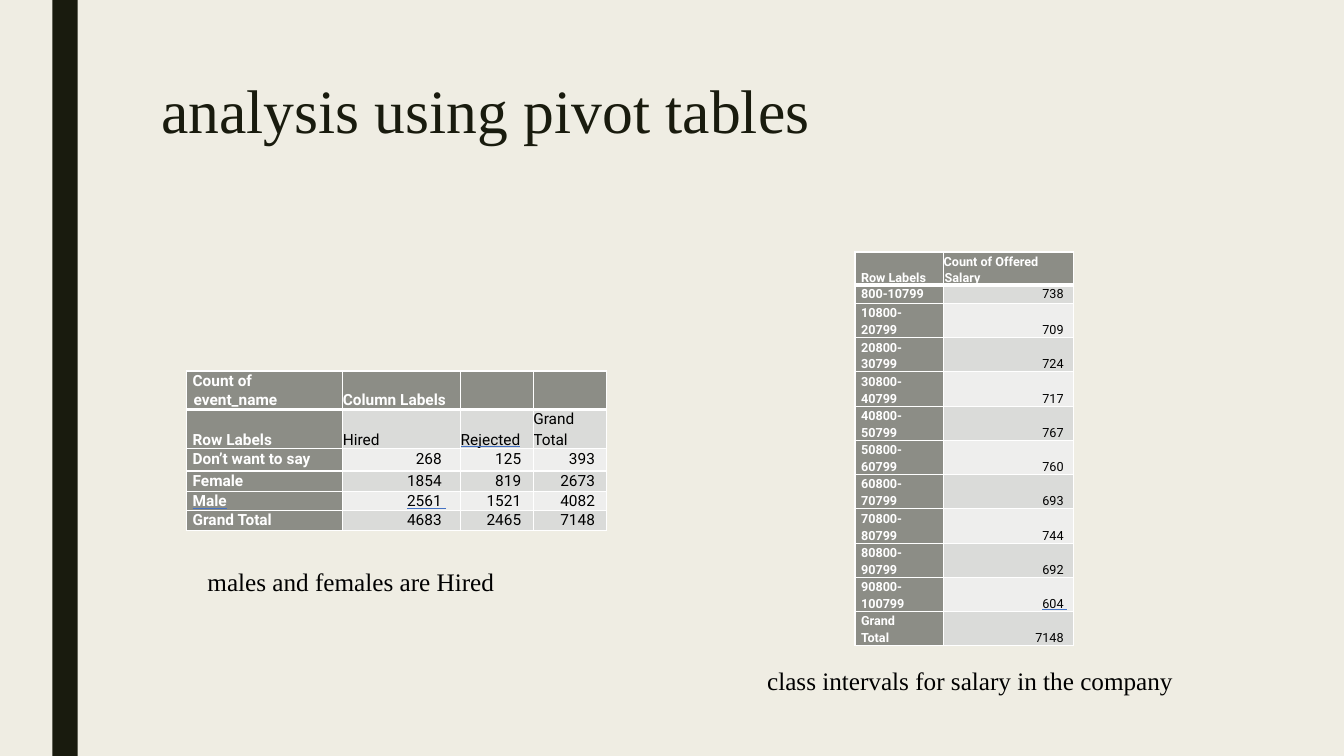
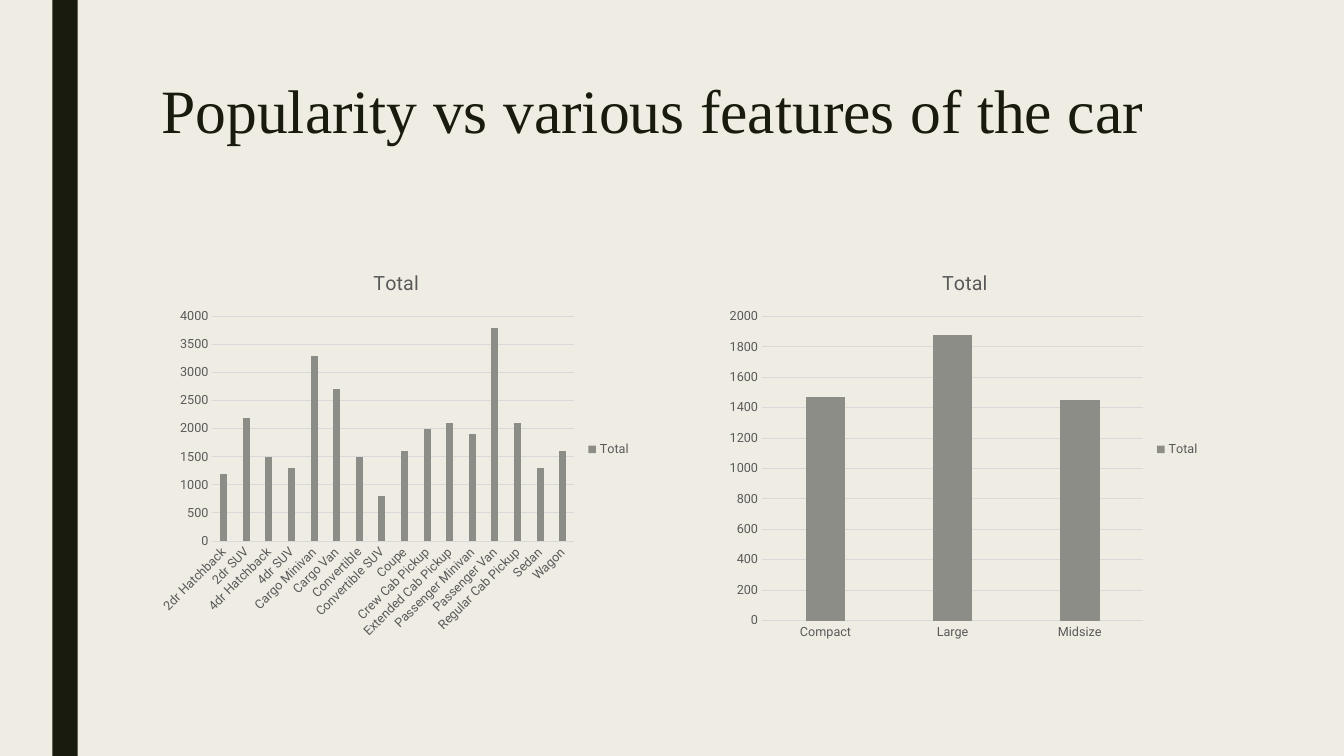
from dataclasses import dataclass

from lxml import etree
from pptx import Presentation
from pptx import util as u
from pptx.chart.data import CategoryChartData
from pptx.dml.color import RGBColor
from pptx.enum import chart as ch
from pptx.enum import shapes, text
from pptx.oxml.ns import qn

EMU_PER_PX = 9144  # 100 px to the inch
COLOURS = {
    "paper": "EFEDE3",
    "ink": "191B0E",
    "black": "000000",
    "white": "FFFFFF",
    "grey": "8C8D86",
    "band_dark": "DADBD9",
    "band_light": "EEEEED",
    "chart_text": "595959",
    "chart_line": "D9D9D9",
    "underline": "4472C4",
}
SERIF, SANS = "Times New Roman", "Roboto"
TITLE_BOX = (150, 75, 1050, 162)
BAND_BOX = (52, 0, 25, 750)


@dataclass
class PivotTable:
    left: int
    top: int
    widths: list[int]
    heights: list[int]
    rows: list[list[str]]
    size: int
    right_inset: int
    number_insets: list[int]  # right inset of the figures, by column
    first_number_row: int
    underlined: set[tuple[int, int]]  # (row, column)


@dataclass
class Caption:
    box: tuple[int, int, int, int]
    words: str


@dataclass
class TotalChart:
    box: tuple[int, int, int, int]
    totals: dict[str, int]
    top_value: int
    step: int


def px(length: int) -> u.Emu:
    return u.Emu(length * EMU_PER_PX)


def rgb(name: str) -> RGBColor:
    return RGBColor.from_string(COLOURS[name])


def apply(target, **values) -> None:
    for attribute, value in values.items():
        setattr(target, attribute, value)


def style_font(font, size: float, colour: str, name: str = SANS, **extra) -> None:
    apply(font, size=u.Pt(size), name=name, **extra)
    font.color.rgb = rgb(colour)


def paint(fill, colour: str) -> None:
    fill.solid()
    fill.fore_color.rgb = rgb(colour)


def new_slide(deck, heading: str):
    slide = deck.slides.add_slide(deck.slide_layouts.get_by_name("Title Only"))
    title = slide.shapes.title
    left, top, width, height = map(px, TITLE_BOX)
    apply(title, left=left, top=top, width=width, height=height)
    apply(title.text_frame, text=heading, word_wrap=True,
          auto_size=text.MSO_AUTO_SIZE.NONE,
          vertical_anchor=text.MSO_ANCHOR.TOP)
    line = title.text_frame.paragraphs[0]
    apply(line, alignment=text.PP_ALIGN.LEFT, line_spacing=0.89)
    style_font(line.runs[0].font, 44, "ink", SERIF)

    # Dark side band
    band = slide.shapes.add_shape(shapes.MSO_SHAPE.RECTANGLE, *map(px, BAND_BOX))
    band.shadow.inherit = False
    paint(band.fill, "ink")
    band.line.fill.background()
    return slide


def add_caption(slide, caption: Caption) -> None:
    frame = slide.shapes.add_textbox(*map(px, caption.box)).text_frame
    apply(frame, text=caption.words, word_wrap=True,
          auto_size=text.MSO_AUTO_SIZE.SHAPE_TO_FIT_TEXT)
    style_font(frame.paragraphs[0].runs[0].font, 18, "black", SERIF)


def set_borders(cell, top: int, bottom: int) -> None:
    properties = cell._tc.get_or_add_tcPr()
    edges = {"lnL": 1, "lnR": 1, "lnT": top, "lnB": bottom}
    for position, (edge, points) in enumerate(edges.items()):
        line = etree.Element(qn(f"a:{edge}"), w=str(u.Pt(points)))
        fill = etree.SubElement(line, qn("a:solidFill"))
        etree.SubElement(fill, qn("a:srgbClr"), val=COLOURS["white"])
        properties.insert(position, line)


def colour_underline(run) -> None:
    line_fill = etree.Element(qn("a:uFill"))
    solid = etree.SubElement(line_fill, qn("a:solidFill"))
    etree.SubElement(solid, qn("a:srgbClr"), val=COLOURS["underline"])
    run._r.rPr.find(qn("a:latin")).addprevious(line_fill)


def fill_cell(cell, pivot: PivotTable, row: int, column: int) -> None:
    is_label = row == 0 or column == 0
    is_number = column > 0 and row >= pivot.first_number_row
    tall = pivot.heights[row] > 30
    inset = pivot.number_insets[column] if is_number else pivot.right_inset
    apply(cell, text=pivot.rows[row][column],
          margin_left=0, margin_top=0, margin_bottom=0, margin_right=px(inset),
          vertical_anchor=text.MSO_ANCHOR.BOTTOM if tall else text.MSO_ANCHOR.TOP)
    band = "band_dark" if row % 2 else "band_light"
    paint(cell.fill, "grey" if is_label else band)
    set_borders(cell, top=3 if row == 1 else 1, bottom=3 if row == 0 else 1)

    underline = (row, column) in pivot.underlined
    for line in cell.text_frame.paragraphs:
        apply(line, line_spacing=1.07, space_after=u.Pt(0.7),
              alignment=text.PP_ALIGN.RIGHT if is_number else text.PP_ALIGN.LEFT)
        indent = 7 if column == 0 else 1
        line._p.get_or_add_pPr().set("marL", str(px(indent)))
        line._p.pPr.set("indent", str(px(-1)))
        style_font(line.font, pivot.size, "white" if is_label else "black")
        for run in line.runs:
            style_font(run.font, pivot.size, "white" if is_label else "black",
                       bold=is_label, underline=underline)
            if underline:
                colour_underline(run)


def add_pivot(slide, pivot: PivotTable) -> None:
    table = slide.shapes.add_table(
        len(pivot.rows), len(pivot.widths), px(pivot.left), px(pivot.top),
        px(sum(pivot.widths)), px(sum(pivot.heights))).table
    for column, width in zip(table.columns, pivot.widths):
        column.width = px(width)
    for row, height in zip(table.rows, pivot.heights):
        row.height = px(height)
    for row in range(len(pivot.rows)):
        for column in range(len(pivot.widths)):
            fill_cell(table.cell(row, column), pivot, row, column)


def add_total_chart(slide, total: TotalChart) -> None:
    data = CategoryChartData()
    data.categories = list(total.totals)
    data.add_series("Total", list(total.totals.values()))
    chart = slide.shapes.add_chart(
        ch.XL_CHART_TYPE.COLUMN_CLUSTERED, *map(px, total.box), data).chart
    style_font(chart.font, 10, "black")

    # Title and legend
    apply(chart, has_title=True, has_legend=True)
    chart.chart_title.include_in_layout = False
    heading = chart.chart_title.text_frame
    heading.text = "Total"
    style_font(heading.paragraphs[0].runs[0].font, 14, "chart_text", bold=False)
    apply(chart.legend, position=ch.XL_LEGEND_POSITION.RIGHT, include_in_layout=False)
    style_font(chart.legend.font, 9, "chart_text")

    # Columns
    plot = chart.plots[0]
    apply(plot, gap_width=219, overlap=-27, vary_by_categories=False)
    paint(plot.series[0].format.fill, "grey")

    # Axes
    names, values = chart.category_axis, chart.value_axis
    for axis in (names, values):
        apply(axis, major_tick_mark=ch.XL_TICK_MARK.NONE,
              minor_tick_mark=ch.XL_TICK_MARK.NONE)
        style_font(axis.tick_labels.font, 9, "chart_text")
        axis._element.txPr.bodyPr.set("rot", "-60000000")  # automatic angle
    apply(values, minimum_scale=0, maximum_scale=total.top_value,
          major_unit=total.step, has_major_gridlines=True)
    values.format.line.fill.background()
    for line in (names.format.line, values.major_gridlines.format.line):
        line.width = u.Pt(0.75)
        line.color.rgb = rgb("chart_line")


# Pivot of applicants by gender
HIRING = PivotTable(
    left=185, top=368, widths=[155, 117, 72, 73], heights=[35, 35, 22, 20, 19, 20],
    rows=[
        ["Count of event_name", "Column Labels", "", ""],
        ["Row Labels", "Hired", "Rejected", "Grand\nTotal"],
        ["Don’t want to say", "268 ", "125", "393 "],
        ["Female", "1854 ", "819", "2673 "],
        ["Male", "2561 ", "1521", "4082 "],
        ["Grand Total", "4683 ", "2465", "7148 "],
    ],
    size=11, right_inset=4, number_insets=[4, 15, 12, 8], first_number_row=2,
    underlined={(1, 2), (4, 0), (4, 1)})

# Pivot of salaries in classes of 10000
SALARY_COUNTS = [738, 709, 724, 717, 767, 760, 693, 744, 692, 604]
SALARY_ROWS = [
    [f"{start}-" + ("\n" if start > 800 else "") + f"{start + 9999}", f"{count} "]
    for start, count in zip(range(800, 100800, 10000), SALARY_COUNTS)]
SALARIES = PivotTable(
    left=848, top=250, widths=[88, 129], heights=[33, 18] + [34] * 10,
    rows=[["Row Labels", "Count of Offered Salary"], *SALARY_ROWS,
          ["Grand\nTotal", f"{sum(SALARY_COUNTS)} "]],
    size=9, right_inset=3, number_insets=[3, 7], first_number_row=1,
    underlined={(10, 1)})

CAPTIONS = [
    Caption((751, 655, 438, 40), "class intervals for salary in the company"),
    Caption((196, 557, 667, 40), "males and females are Hired"),
]

CHARTS = [
    TotalChart((150, 250, 486, 392), {
        "2dr Hatchback": 1200, "2dr SUV": 2200, "4dr Hatchback": 1500,
        "4dr SUV": 1300, "Cargo Minivan": 3300, "Cargo Van": 2700,
        "Convertible": 1500, "Convertible SUV": 800, "Coupe": 1600,
        "Crew Cab Pickup": 2000, "Extended Cab Pickup": 2100,
        "Passenger Minivan": 1900, "Passenger Van": 3800,
        "Regular Cab Pickup": 2100, "Sedan": 1300, "Wagon": 1600,
    }, top_value=4000, step=500),
    TotalChart((714, 250, 486, 392),
               {"Compact": 1470, "Large": 1880, "Midsize": 1450},
               top_value=2000, step=200),
]


def main() -> None:
    deck = Presentation()
    apply(deck, slide_width=px(1333), slide_height=px(750))
    paint(deck.slide_master.background.fill, "paper")

    pivots = new_slide(deck, "analysis using pivot tables")
    for pivot in (HIRING, SALARIES):
        add_pivot(pivots, pivot)
    for caption in CAPTIONS:
        add_caption(pivots, caption)

    popularity = new_slide(deck, "Popularity vs various features of the car")
    for total in CHARTS:
        add_total_chart(popularity, total)

    deck.save("out.pptx")


if __name__ == "__main__":
    main()
